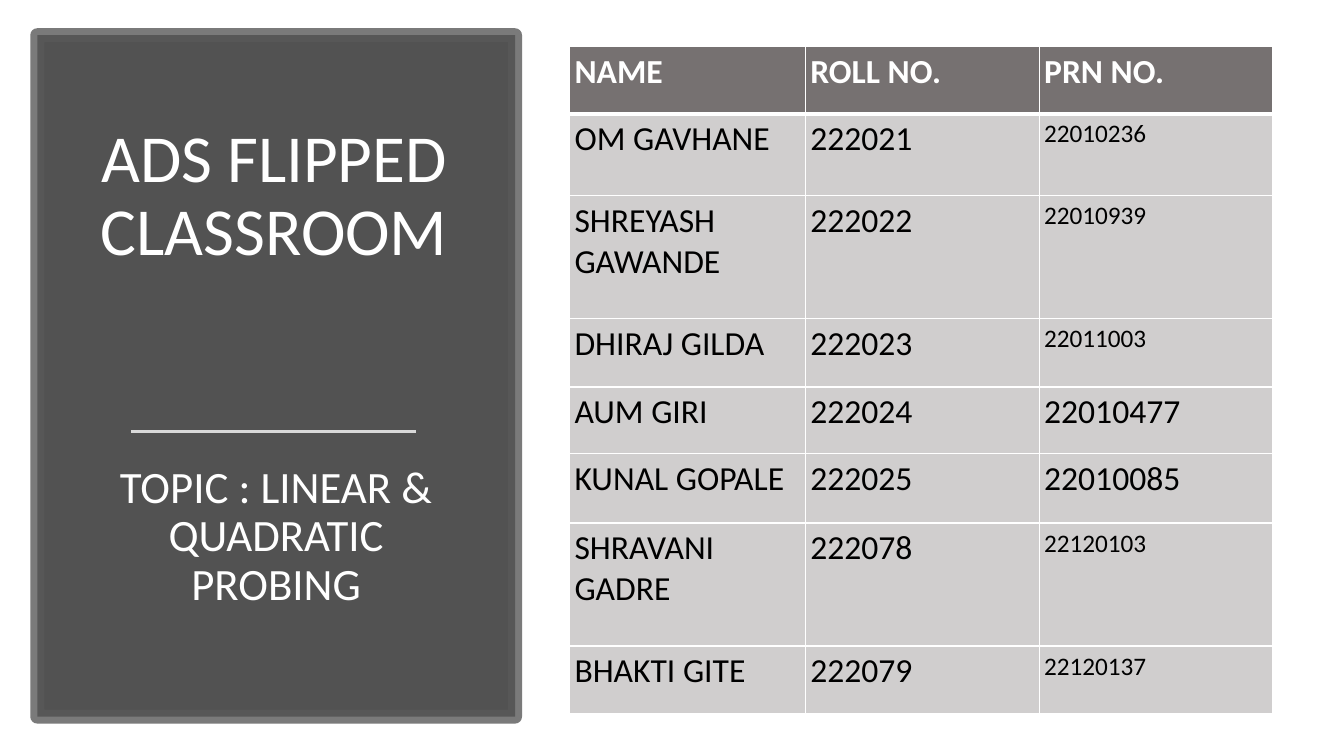
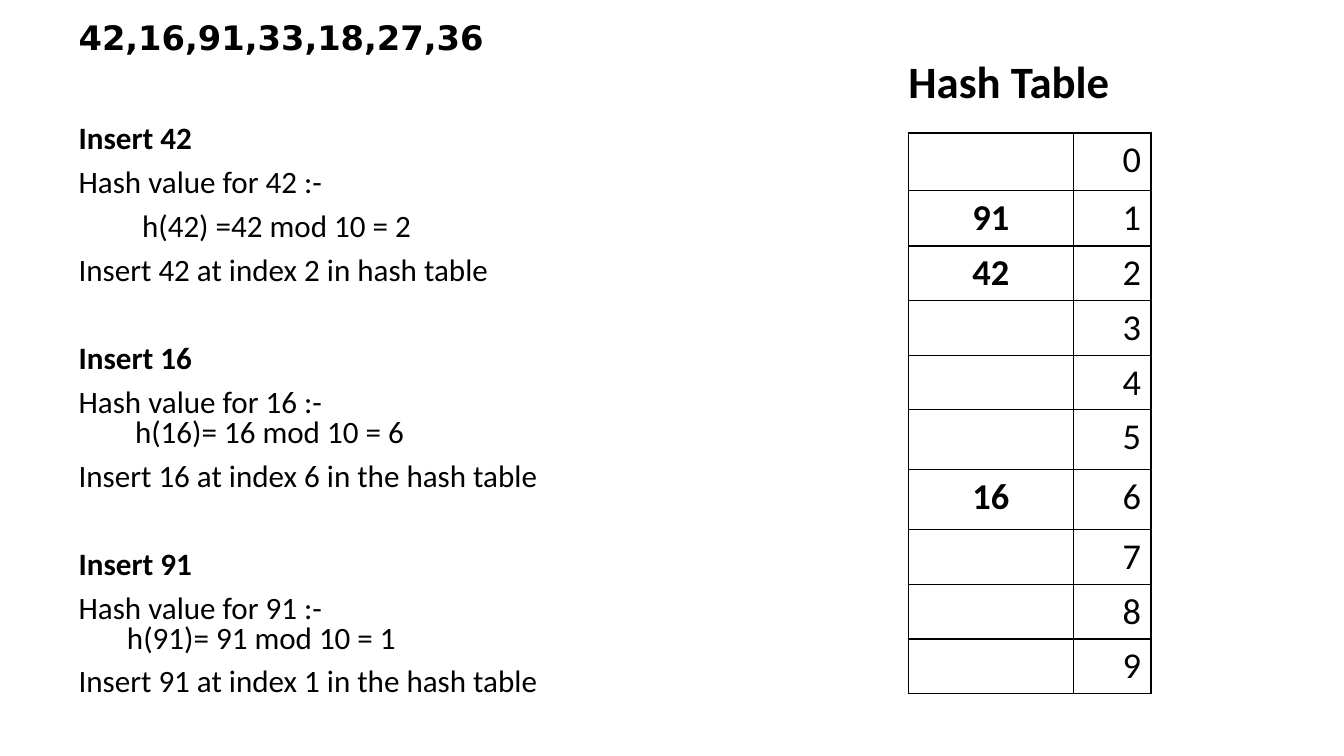
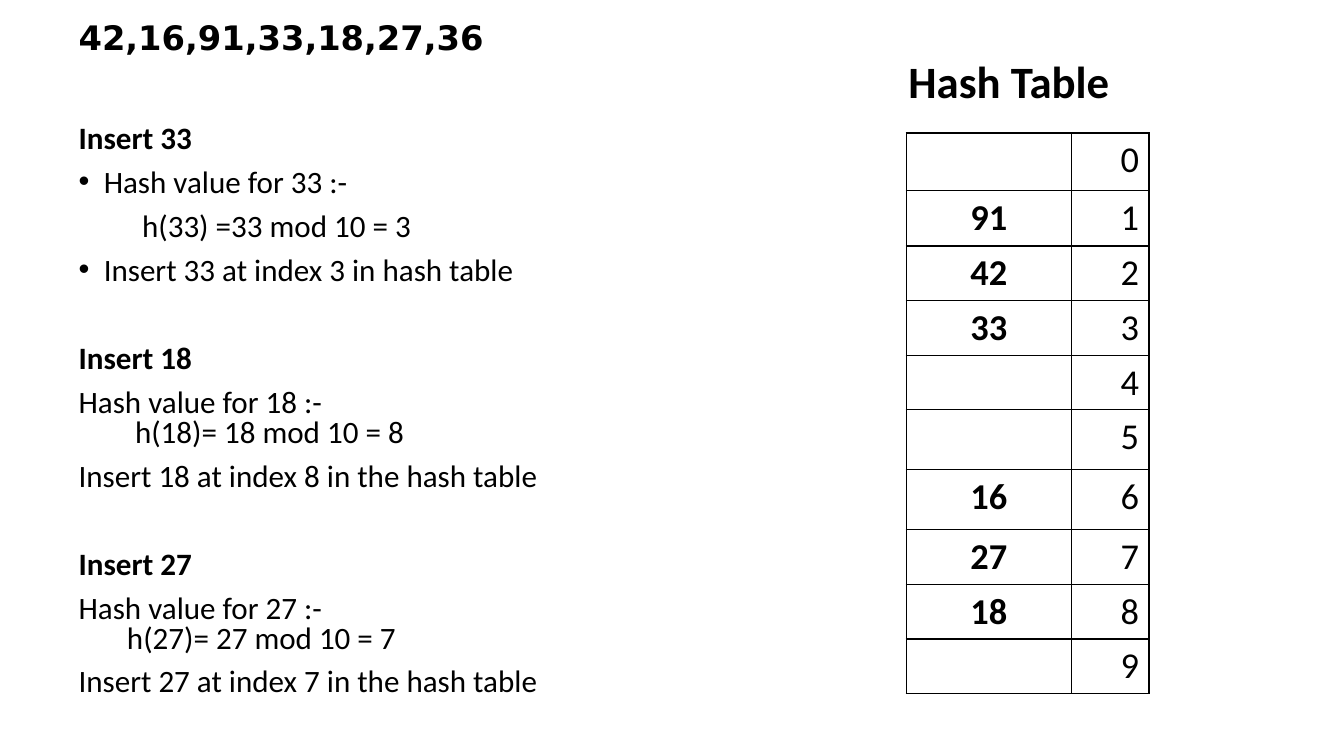
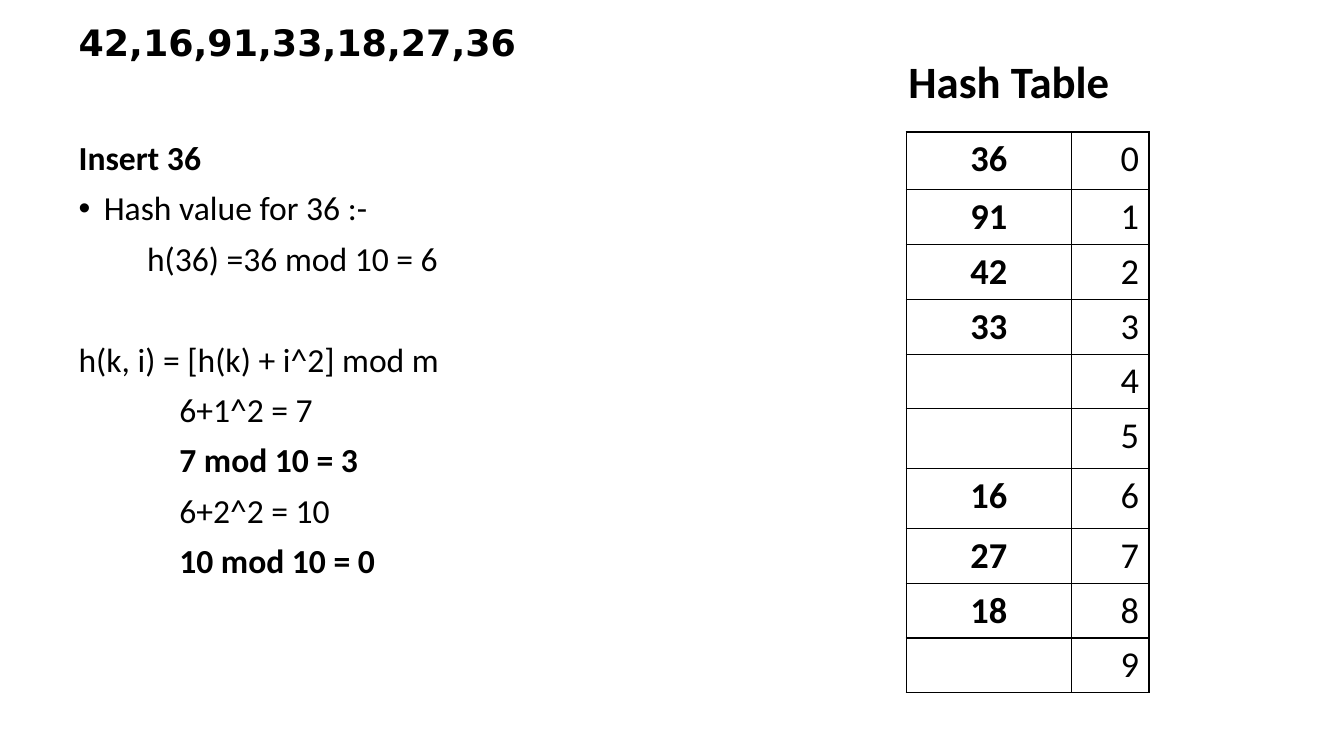
"""Build a four-slide deck on hashing with quadratic probing."""
from lxml import etree
from pptx import Presentation
from pptx.dml.color import RGBColor
from pptx.enum.shapes import MSO_CONNECTOR, MSO_SHAPE
from pptx.enum.text import MSO_ANCHOR, MSO_AUTO_SIZE, PP_ALIGN
from pptx.oxml.ns import qn
from pptx.util import Pt

LEFT, CENTER, RIGHT = PP_ALIGN.LEFT, PP_ALIGN.CENTER, PP_ALIGN.RIGHT
TOP, BOTTOM = MSO_ANCHOR.TOP, MSO_ANCHOR.BOTTOM
PX = 9144
INSET = 5
TITLE_ONLY = 5
FONT, SEQUENCE_FONT = "Calibri", "DejaVu Sans"
SPACE_BEFORE = 10
LINE_HEIGHT = 1.22
COLORS = {
    "white": "FFFFFF", "black": "000000", "panel": "404040", "frame": "595959",
    "rule": "D9D9D9", "header": "767171", "row": "D0CECE",
}

COVER_TITLE = "ADS FLIPPED CLASSROOM"
COVER_TOPIC = "TOPIC : LINEAR & QUADRATIC PROBING"
MEMBER_HEADS = ("NAME", "ROLL NO.", "PRN NO.")
MEMBERS = [
    ("OM GAVHANE", "222021", "22010236", 18),
    ("SHREYASH GAWANDE", "222022", "22010939", 18),
    ("DHIRAJ GILDA", "222023", "22011003", 18),
    ("AUM GIRI", "222024", "22010477", 24),
    ("KUNAL GOPALE", "222025", "22010085", 24),
    ("SHRAVANI GADRE", "222078", "22120103", 18),
    ("BHAKTI GITE", "222079", "22120137", 18),
]
MEMBER_COLUMNS = (234, 232, 232)
MEMBER_ROWS = (67, 81, 122, 68, 66, 69, 122, 67)

SEQUENCE = "42,16,91,33,18,27,36"
TABLE_TITLE = "Hash Table"
SLOT_COLUMNS = (164, 77)
SLOT_ROWS = (57, 55, 54, 54, 54, 59, 60, 54, 54, 54)


def opening_steps(key, style):
    slot = key % 10
    return [
        ("head", 0, f"Insert {key}"),
        (style, 0, f"Hash value for {key} :-"),
        ("plain", 63, f"h({key}) ={key} mod 10 = {slot}"),
        (style, 0, f"Insert {key} at index {slot} in hash table"),
    ]


def later_steps(key, indent):
    slot = key % 10
    return [
        ("head", 0, f"Insert {key}"),
        ("plain", 0, f"Hash value for {key} :-"),
        ("joined", indent, f"h({key})= {key} mod 10 = {slot}"),
        ("plain", 0, f"Insert {key} at index {slot} in the hash table"),
    ]


PROBE_STEPS = [
    ("head", 0, "Insert 36"),
    ("bullet", 0, "Hash value for 36 :-"),
    ("plain", 68, "h(36) =36 mod 10 = 6"),
    ("section", 0, "h(k, i) = [h(k) + i^2] mod m"),
    ("plain", 100, "6+1^2 = 7"),
    ("strong", 100, "7 mod 10 = 3"),
    ("plain", 100, "6+2^2 = 10"),
    ("strong", 100, "10 mod 10 = 0"),
]
HASH_PAGES = [
    {
        "steps": opening_steps(42, "plain") + later_steps(16, 56) + later_steps(91, 48),
        "slots": {1: 91, 2: 42, 6: 16},
        "table": (901, 132), "sizes": (24.1, 22.2, 29.6), "spacing": 0.8,
    },
    {
        "steps": opening_steps(33, "bullet") + later_steps(18, 56) + later_steps(27, 48),
        "slots": {1: 91, 2: 42, 3: 33, 6: 16, 7: 27, 8: 18},
        "table": (899, 132), "sizes": (24.1, 22.2, 29.6), "spacing": 0.8,
    },
    {
        "steps": PROBE_STEPS,
        "slots": {0: 36, 1: 91, 2: 42, 3: 33, 6: 16, 7: 27, 8: 18},
        "table": (899, 131), "sizes": (26, 24, 32), "spacing": 0.9,
    },
]


def px(*lengths):
    return [round(length * PX) for length in lengths]


def rgb(name):
    return RGBColor.from_string(COLORS[name])


def add_child(parent, tag, **attributes):
    return etree.SubElement(parent, qn(tag), attributes)


def set_opacity(color_format_parent, percent):
    color = color_format_parent.find(f".//{qn('a:srgbClr')}")
    add_child(color, "a:alpha", val=str(percent * 1000))


def write(para, text, size, color="black", bold=False, font=FONT):
    span = para.add_run()
    span.text = text
    span.font.size, span.font.name, span.font.bold = Pt(size), font, bold
    span.font.color.rgb = rgb(color)


def format_para(para, align=LEFT, spacing=0.9, before=SPACE_BEFORE):
    para.alignment, para.line_spacing, para.space_before = align, spacing, Pt(before)


def prepare_frame(shape, box, anchor=TOP):
    shape.left, shape.top, shape.width, shape.height = px(*box)
    frame = shape.text_frame
    frame.word_wrap, frame.auto_size = True, MSO_AUTO_SIZE.NONE
    frame.vertical_anchor = anchor
    frame.margin_left, frame.margin_top, frame.margin_right, frame.margin_bottom = px(*[INSET] * 4)
    return frame


def add_text_box(page, box):
    return prepare_frame(page.shapes.add_textbox(0, 0, 0, 0), box)


def set_title(page, text, box, size, color, bold=False, anchor=TOP, before=SPACE_BEFORE):
    para = prepare_frame(page.shapes.title, box, anchor).paragraphs[0]
    format_para(para, CENTER, before=before)
    write(para, text, size, color, bold)


def set_borders(cell, color, bottom=1):
    properties = cell._tc.get_or_add_tcPr()
    for side, width in (("L", 1), ("R", 1), ("T", 1), ("B", bottom)):
        line = add_child(properties, f"a:ln{side}", w=str(Pt(width)))
        add_child(add_child(line, "a:solidFill"), "a:srgbClr", val=COLORS[color])


def add_grid(page, left, top, columns, rows, header):
    box = px(left, top, sum(columns), sum(rows))
    table = page.shapes.add_table(len(rows), len(columns), *box).table
    table.first_row, table.horz_banding = header, False
    for column, width in zip(table.columns, px(*columns)):
        column.width = width
    for row, height in zip(table.rows, px(*rows)):
        row.height = height
    return table


def add_members(page):
    table = add_grid(page, 565, 46, MEMBER_COLUMNS, MEMBER_ROWS, True)
    for row, (*texts, last_size) in enumerate([(*MEMBER_HEADS, 24)] + MEMBERS):
        header = row == 0
        for column, (text, size) in enumerate(zip(texts, (24, 24, last_size))):
            cell = table.cell(row, column)
            cell.margin_left, cell.margin_right = px(INSET, INSET)
            set_borders(cell, "white", 3 if header else 1)
            cell.fill.solid()
            cell.fill.fore_color.rgb = rgb("header" if header else "row")
            write(cell.text_frame.paragraphs[0], text, size,
                  "white" if header else "black", header)


def add_slots(page, left, top, slots):
    table = add_grid(page, left, top, SLOT_COLUMNS, SLOT_ROWS, False)
    for row in range(len(SLOT_ROWS)):
        for column, (value, align) in enumerate(((slots.get(row), CENTER), (row, RIGHT))):
            cell = table.cell(row, column)
            set_borders(cell, "black")
            cell.fill.background()
            para = cell.text_frame.paragraphs[0]
            para.alignment = align
            if value is not None:
                write(para, str(value), 26, bold=column == 0)


def add_steps(page, steps, sizes, spacing):
    sequence_size, size, first_gap = sizes
    frame = add_text_box(page, (73, 20, 616, 683))
    para = frame.paragraphs[0]
    format_para(para, spacing=spacing)
    write(para, SEQUENCE, sequence_size, bold=True, font=SEQUENCE_FONT)
    for number, (style, indent, text) in enumerate(steps):
        before = 0 if style == "joined" else SPACE_BEFORE
        if style in ("head", "section"):
            gap = size if number else first_gap
            before += SPACE_BEFORE + round(gap * LINE_HEIGHT * spacing, 1)
        para = frame.add_paragraph()
        format_para(para, spacing=spacing, before=before)
        properties = para._p.get_or_add_pPr()
        hanging = 25 if style == "bullet" else 0
        properties.set("marL", str((indent + hanging) * PX))
        properties.set("indent", str(-hanging * PX))
        if hanging:
            add_child(properties, "a:buFont", typeface="Arial")
            add_child(properties, "a:buChar", char="•")
        write(para, text, size, bold=style in ("head", "strong"))


def add_panel(page):
    panel = page.shapes.add_shape(MSO_SHAPE.RECTANGLE, *px(37, 35, 474, 676))
    panel.shadow.inherit = False
    panel.fill.solid()
    panel.fill.fore_color.rgb = rgb("panel")
    panel.line.color.rgb = rgb("frame")
    panel.line.width = Pt(10)
    properties = panel._element.spPr
    set_opacity(properties.find(qn("a:solidFill")), 90)
    set_opacity(properties.find(qn("a:ln")), 80)
    page.shapes._spTree.insert(2, panel._element)


def add_rule(page):
    rule = page.shapes.add_connector(MSO_CONNECTOR.STRAIGHT, *px(130, 428, 413, 428))
    rule.line.color.rgb = rgb("rule")
    rule.line.width = Pt(1.75)
    add_child(rule._element.spPr, "a:effectLst")


def build_cover(page):
    add_panel(page)
    set_title(page, COVER_TITLE, (72, 88, 400, 185), 48, "white", anchor=BOTTOM, before=0)
    para = add_text_box(page, (74, 456, 400, 167)).paragraphs[0]
    format_para(para, CENTER)
    write(para, COVER_TOPIC, 32, "white")
    add_rule(page)
    add_members(page)


def build_hash_page(page, content):
    set_title(page, TABLE_TITLE, (760, 54, 482, 70), 32, "black", bold=True)
    add_steps(page, content["steps"], content["sizes"], content["spacing"])
    add_slots(page, *content["table"], content["slots"])


def main():
    deck = Presentation()
    deck.slide_width, deck.slide_height = px(1333.33, 750)
    layout = deck.slide_layouts[TITLE_ONLY]
    build_cover(deck.slides.add_slide(layout))
    for content in HASH_PAGES:
        build_hash_page(deck.slides.add_slide(layout), content)
    deck.save("out.pptx")


if __name__ == "__main__":
    main()
